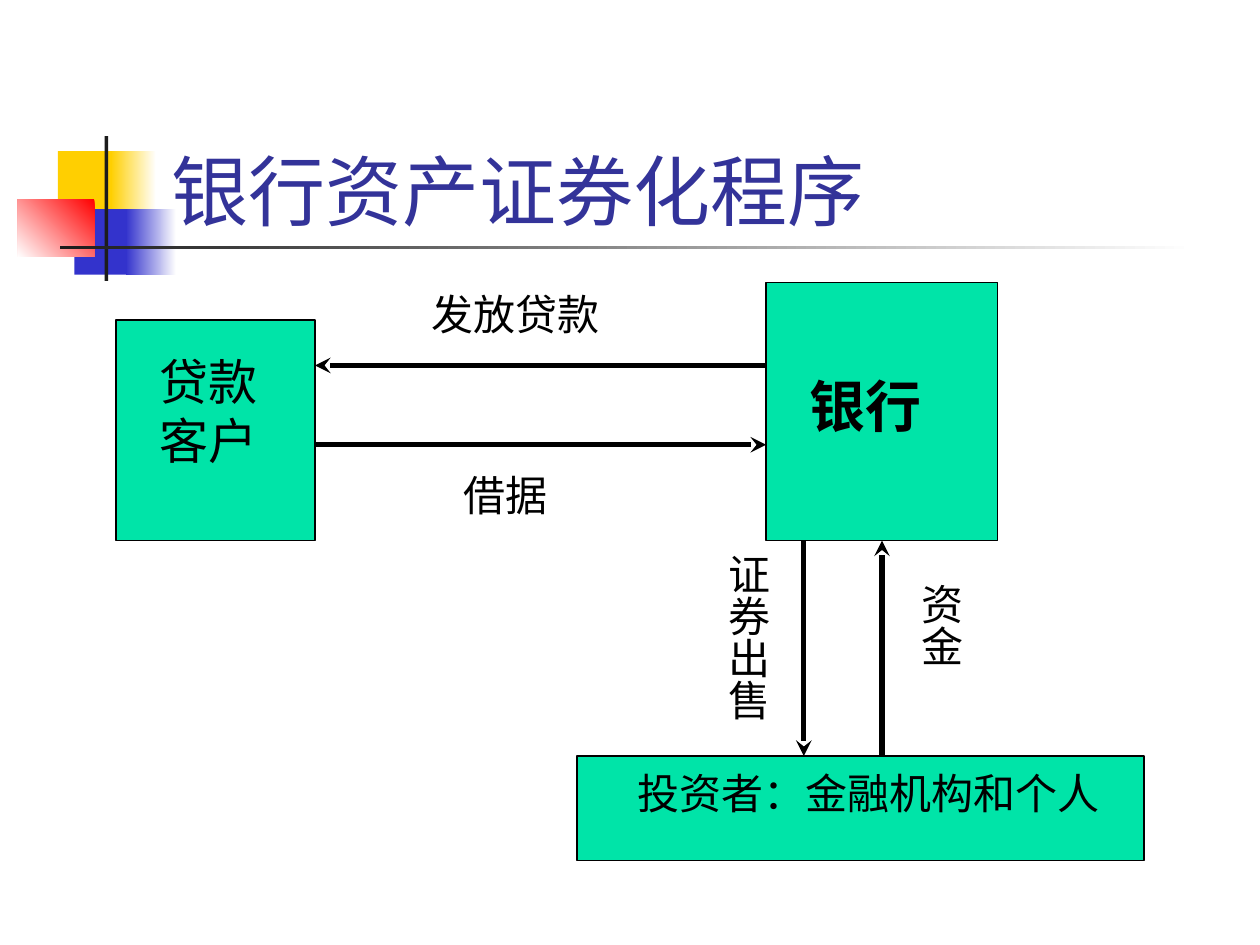
from lxml.etree import SubElement
from pptx import Presentation
from pptx.dml.color import RGBColor
from pptx.enum.shapes import MSO_CONNECTOR as Connector, MSO_SHAPE as Shape
from pptx.enum.text import MSO_ANCHOR as Anchor, PP_ALIGN as Align
from pptx.oxml.ns import qn
from pptx.util import Emu, Pt

PX_PER_INCH = 100
GREEN, BLACK, WHITE = "00E4A8", "000000", "FFFFFF"
YELLOW, BLUE, RED, CHARCOAL = "FFCF01", "3333CC", "FF0000", "1C1C1C"


def px(*lengths):
    """Turn px lengths into EMU."""
    return [Emu(length * 914400 // PX_PER_INCH) for length in lengths]


def color(value):
    """Turn a hex string into a colour."""
    return RGBColor.from_string(value)


def within(box, left, top, width, height):
    """Return a box whose place is relative to the given one."""
    return box[0] + left, box[1] + top, width, height


def write(frame, text, size=24, font="Times New Roman", ink=BLACK, bold=False,
          margins=(10, 5, 10, 5), anchor=Anchor.TOP):
    """Put one formatted paragraph into a text frame."""
    frame.word_wrap = True
    frame.vertical_anchor = anchor
    (frame.margin_left, frame.margin_top,
     frame.margin_right, frame.margin_bottom) = px(*margins)
    para = frame.paragraphs[0]
    para.alignment = Align.LEFT
    span = para.add_run()
    span.text = text
    span.font.size = Pt(size)
    span.font.name = font
    span.font.bold = bold
    span.font.color.rgb = color(ink)


def add_label(page, box, text, vertical=False, **style):
    """Add a text box, with upright stacked text if vertical."""
    frame = page.shapes.add_textbox(*px(*box)).text_frame
    if vertical:
        frame._txBody.bodyPr.set("vert", "eaVert")
        style["margins"] = (5, 10, 5, 10)
    write(frame, text, **style)


def add_block(page, box, fill, outline=None):
    """Add a plain rectangle."""
    block = page.shapes.add_shape(Shape.RECTANGLE, *px(*box))
    block.shadow.inherit = False
    block.fill.solid()
    block.fill.fore_color.rgb = color(fill)
    if outline:
        block.line.color.rgb = color(outline)
        block.line.width = Pt(0.75)
    else:
        block.line.fill.background()
    return block


def add_fade(page, box, start, end, angle=180):
    """Add a rectangle that fades from one colour to another."""
    fill = add_block(page, box, start).fill
    fill.gradient()
    fill.gradient_angle = angle
    for stop, value, position in zip(fill.gradient_stops, (start, end), (0, 1)):
        stop.color.rgb = color(value)
        stop.position = position


def add_arrow(page, start, end):
    """Add a straight arrow with its head at the end point."""
    arrow = page.shapes.add_connector(Connector.STRAIGHT, *px(*start, *end))
    arrow.line.color.rgb = color(BLACK)
    arrow.line.width = Pt(3)
    SubElement(arrow.line._get_or_add_ln(), qn("a:tailEnd"), type="stealth")
    SubElement(arrow._element.spPr, qn("a:effectLst"))
    return arrow


def draw_ornament(page, box):
    """Draw the coloured squares and the crossing rules."""
    add_block(page, within(box, 32, 12, 48, 52), YELLOW)
    add_fade(page, within(box, 74, 12, 36, 52), WHITE, YELLOW)
    add_block(page, within(box, 45, 58, 46, 52), BLUE)
    add_fade(page, within(box, 86, 58, 40, 52), WHITE, BLUE)
    add_fade(page, within(box, 0, 50, 61, 46), RED, WHITE, angle=225)
    add_block(page, within(box, 69, 0, 3, 115), CHARCOAL)
    add_fade(page, within(box, 34, 87, 900, 3), WHITE, CHARCOAL)


def draw_title(page, box, text):
    """Place and format the title placeholder."""
    title = page.shapes.title
    title.left, title.top, title.width, title.height = px(*box)
    write(title.text_frame, text, size=44, font="Karla", ink="333399",
          anchor=Anchor.BOTTOM)


def draw_loan(page, box):
    """Draw the customer, the bank and the flows between them; return the bank."""
    left, top = box[:2]
    customer_edge, bank_edge = left + 158, left + 516
    add_block(page, within(box, 0, 30, 158, 175), GREEN, BLACK)
    bank = add_block(page, within(box, 516, 0, 184, 205), GREEN, BLACK)
    add_arrow(page, (bank_edge, top + 66), (customer_edge, top + 66))
    add_arrow(page, (customer_edge, top + 129), (bank_edge, top + 129))
    add_label(page, within(box, 241, 0, 175, 50), "发放贷款")
    add_label(page, within(box, 266, 144, 108, 50), "借据")
    add_label(page, within(box, 25, 50, 100, 104), "贷款客户", size=28)
    add_label(page, within(box, 541, 66, 117, 64), "银行", size=32, bold=True)
    return bank


def draw_sale(page, box, bank):
    """Draw the investors and the flows between them and the bank."""
    left, top = box[:2]
    add_block(page, within(box, 0, 171, 450, 83), GREEN, BLACK)
    add_label(page, within(box, 38, 175, 408, 50), "投资者：金融机构和个人")
    add_arrow(page, (left + 180, top), (left + 180, top + 171))
    funds = add_arrow(page, (left + 242, top + 171), (left + 242, top))
    funds.end_connect(bank, 2)
    add_label(page, within(box, 101, 0, 60, 157), "证券出售", vertical=True)
    add_label(page, within(box, 254, 24, 60, 102), "资金", vertical=True)


def main():
    """Build the slide and save it."""
    deck = Presentation()
    deck.slide_width, deck.slide_height = px(1000, 750)
    page = deck.slides.add_slide(deck.slide_layouts[5])
    draw_ornament(page, (14, 108, 934, 115))
    draw_title(page, (126, 67, 852, 125), "银行资产证券化程序")
    bank = draw_loan(page, (92, 224, 700, 205))
    draw_sale(page, (458, 429, 450, 254), bank)
    deck.save("out.pptx")


if __name__ == "__main__":
    main()
